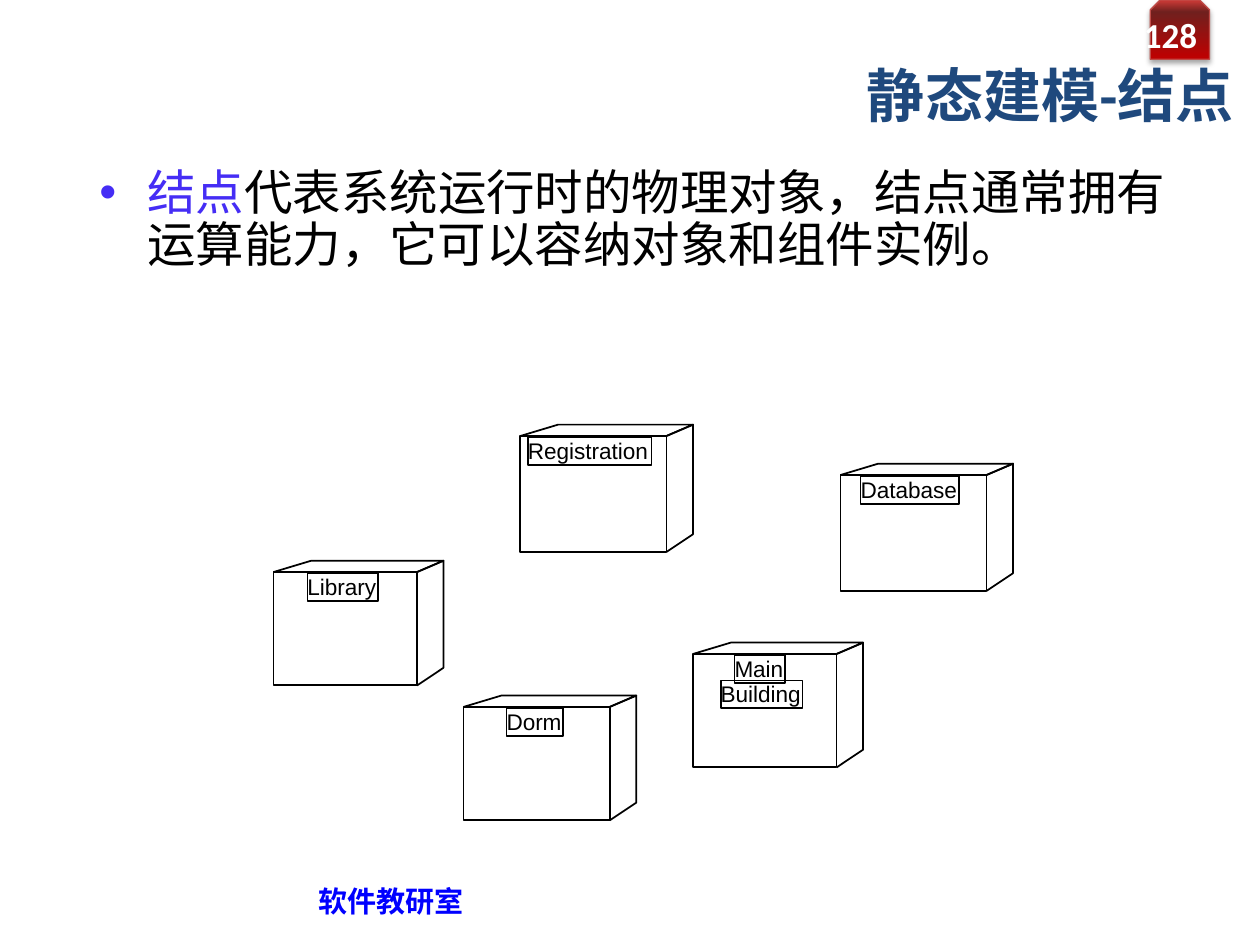
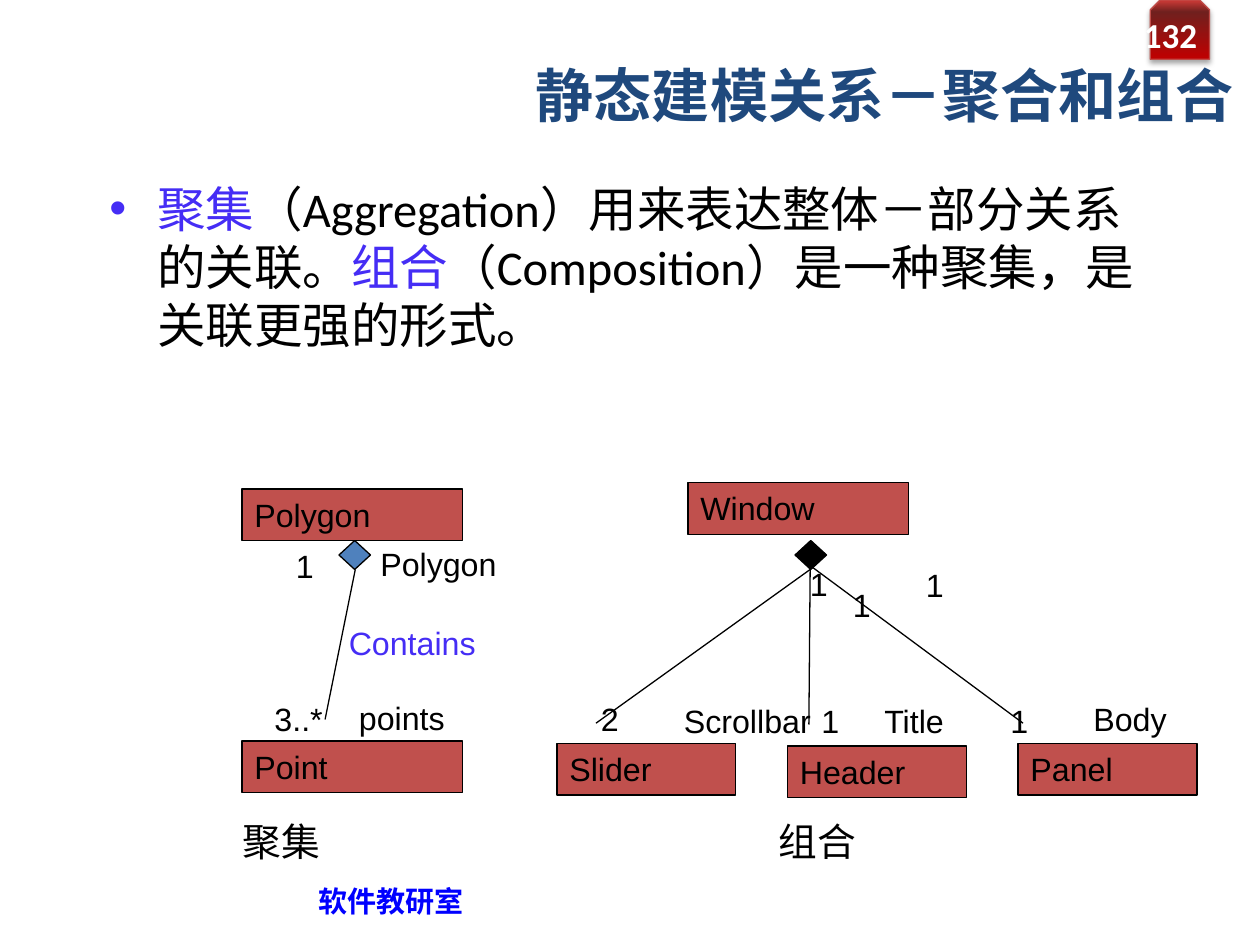
"""Build two UML slides: deployment nodes, and aggregation versus composition."""
from dataclasses import dataclass

from lxml import etree
from pptx import Presentation
from pptx.dml.color import RGBColor
from pptx.enum.shapes import MSO_CONNECTOR, MSO_SHAPE
from pptx.enum.text import MSO_ANCHOR, MSO_AUTO_SIZE, PP_ALIGN
from pptx.oxml import parse_xml
from pptx.oxml.ns import nsdecls, qn
from pptx.util import Inches, Pt

RECT = MSO_SHAPE.RECTANGLE
DIAMOND = MSO_SHAPE.FLOWCHART_DECISION
TAB = MSO_SHAPE.SNIP_2_SAME_RECTANGLE
STRAIGHT = MSO_CONNECTOR.STRAIGHT
TOP, MIDDLE = MSO_ANCHOR.TOP, MSO_ANCHOR.MIDDLE
LEFT, RIGHT = PP_ALIGN.LEFT, PP_ALIGN.RIGHT
GROW, FIXED = MSO_AUTO_SIZE.SHAPE_TO_FIT_TEXT, MSO_AUTO_SIZE.NONE


@dataclass(frozen=True)
class Theme:
    ink: str = "000000"
    paper: str = "FFFFFF"
    title: str = "1F497D"
    accent: str = "452DF5"
    footer: str = "0000FF"
    red: str = "C0504D"
    blue: str = "4F81BD"
    tab_line: str = "BF4C48"
    tab_stops: tuple = ((0, "C00000"), (80, "70201E"), (100, "CE3B37"))
    head: str = "Calibri"
    sans: str = "Arial"
    cjk: str = "DejaVu Sans"
    title_size: float = 33.2
    body_size: float = 27.7
    caption_size: float = 22.1
    number_size: float = 20
    label_size: float = 18.4
    footer_size: float = 16.6
    node_size: float = 12.9
    thin: float = 0.75
    line: float = 1


def write(tf, text, *, font, size, color, bold=False, align=LEFT, anchor=TOP,
          inset=(0.1, 0.05), wrap=True, fit=FIXED):
    tf.word_wrap, tf.auto_size, tf.vertical_anchor = wrap, fit, anchor
    tf.margin_left = tf.margin_right = Inches(inset[0])
    tf.margin_top = tf.margin_bottom = Inches(inset[1])
    p = tf.paragraphs[0]
    p.alignment = align
    for part, part_color in [(text, color)] if isinstance(text, str) else text:
        r = p.add_run()
        r.text = part
        r.font.name, r.font.size, r.font.bold = font, Pt(size), bold
        r.font.color.rgb = RGBColor.from_string(part_color or color)
        etree.SubElement(r.font._element, qn("a:ea")).set("typeface", font)
    return p


class Deck:
    def __init__(self, theme):
        self.t = theme
        self.prs = Presentation()
        self.prs.slide_width, self.prs.slide_height = Inches(10), Inches(7.5)

    def slide(self, number, title):
        t = self.t
        self.s = self.prs.slides.add_slide(self.prs.slide_layouts[6])
        self.s.background.fill.solid()
        self.s.background.fill.fore_color.rgb = RGBColor.from_string(t.paper)
        self.tab()
        self.text(number, 8.97, 0.07, 0.63, 0.4, font=t.head, size=t.number_size,
                  color=t.paper, bold=True, align=RIGHT, anchor=MIDDLE)
        self.text("软件教研室", 2.43, 6.95, 1.4, 0.4, font=t.sans, size=t.footer_size,
                  color=t.footer, bold=True, anchor=MIDDLE, wrap=False)
        self.text(title, 3.97, 0.46, 5.92, 0.58, font=t.head, size=t.title_size,
                  color=t.title, bold=True, align=RIGHT, anchor=MIDDLE)

    def tab(self):
        sp = self.shape(TAB, 9.13, 0, 0.47, 0.47, color=self.t.tab_line, width=self.t.thin)
        sp.fill.gradient()
        sp.fill.gradient_angle = 90
        stops = sp._element.spPr.find(".//" + qn("a:gsLst"))
        for old in list(stops):
            stops.remove(old)
        for pos, color in self.t.tab_stops:
            gs = etree.SubElement(stops, qn("a:gs"), pos=str(pos * 1000))
            etree.SubElement(gs, qn("a:srgbClr"), val=color)
        effects = sp._element.spPr.find(qn("a:effectLst"))
        effects.append(parse_xml(
            f'<a:outerShdw {nsdecls("a")} blurRad="{Pt(3.1)}" dist="{Pt(1.8)}" dir="5400000">'
            f'<a:srgbClr val="{self.t.ink}"><a:alpha val="35000"/></a:srgbClr></a:outerShdw>'))

    def text(self, text, x, y, w, h, **fmt):
        sp = self.s.shapes.add_textbox(Inches(x), Inches(y), Inches(w), Inches(h))
        return write(sp.text_frame, text, **fmt)

    def paint(self, sp, fill, color, width):
        sp.shadow.inherit = False
        if fill:
            sp.fill.solid()
            sp.fill.fore_color.rgb = RGBColor.from_string(fill)
        else:
            sp.fill.background()
        sp.line.color.rgb = RGBColor.from_string(color or self.t.ink)
        sp.line.width = Pt(width)
        return sp

    def shape(self, kind, x, y, w, h, fill=None, color=None, width=1, parent=None):
        shapes = (parent or self.s).shapes
        sp = shapes.add_shape(kind, Inches(x), Inches(y), Inches(w), Inches(h))
        return self.paint(sp, fill, color, width)

    def outline(self, points, parent):
        pts = [(Inches(x), Inches(y)) for x, y in points]
        builder = parent.shapes.build_freeform(*pts[0])
        builder.add_line_segments(pts[1:], close=False)
        return self.paint(builder.convert_to_shape(), None, None, self.t.line)

    def bullet(self, runs, x, y, w, h, spacing=1.0):
        t = self.t
        p = self.text(runs, x, y, w, h, font=t.head, size=t.body_size, color=t.ink)
        p.line_spacing = spacing
        pPr = p._p.get_or_add_pPr()
        pPr.set("marL", str(Inches(0.38)))
        pPr.set("indent", str(-Inches(0.38)))
        color = etree.SubElement(pPr, qn("a:buClr"))
        etree.SubElement(color, qn("a:srgbClr"), val=t.accent)
        etree.SubElement(pPr, qn("a:buFont"), typeface=t.sans)
        etree.SubElement(pPr, qn("a:buChar"), char="•")

    def node(self, x, y, w, h, labels):
        t, group = self.t, self.s.shapes.add_group_shape()
        right, back, rise = x + w, x + w + 0.21, y - 0.09
        self.shape(RECT, x, y, w, h, width=t.line, parent=group)
        self.outline([(x, y), (x + 0.3, rise), (back, rise), (right, y)], group)
        self.outline([(right, y), (back, rise), (back, y + h - 0.14), (right, y + h)], group)
        for i, (name, left, width) in enumerate(labels):
            sp = self.shape(RECT, left, y + 0.01 + 0.2 * i, width, 0.22,
                            width=t.line, parent=group)
            write(sp.text_frame, name, font=t.sans, size=t.node_size, color=t.ink,
                  inset=(0, 0), wrap=False, fit=GROW)

    def class_box(self, name, x, y, w):
        t = self.t
        sp = self.shape(RECT, x, y, w, 0.41, fill=t.red, width=t.thin)
        write(sp.text_frame, name, font=t.sans, size=t.label_size, color=t.ink, fit=GROW)

    def diamond(self, x, y, fill):
        self.shape(DIAMOND, x, y, 0.25, 0.23, fill=fill, width=self.t.thin)

    def label(self, text, x, y, w, color=None):
        self.text(text, x, y, w, 0.41, font=self.t.sans, size=self.t.label_size,
                  color=color or self.t.ink, fit=GROW)

    def caption(self, text, x, y):
        self.text(text, x, y, 2, 0.47, font=self.t.cjk, size=self.t.caption_size,
                  color=self.t.ink, fit=GROW)

    def link(self, x1, y1, x2, y2):
        c = self.s.shapes.add_connector(STRAIGHT, Inches(x1), Inches(y1), Inches(x2), Inches(y2))
        c.line.color.rgb = RGBColor.from_string(self.t.ink)
        c.line.width = Pt(self.t.thin)
        etree.SubElement(c._element.spPr, qn("a:effectLst"))


def nodes_slide(d):
    d.slide("128", "静态建模-结点")
    d.bullet([("结点", d.t.accent),
              ("代表系统运行时的物理对象，结点通常拥有运算能力，它可以容纳对象和组件实例。", None)],
             0.69, 1.29, 8.87, 1, spacing=0.9)
    for x, y, w, h, labels in [
        (4.13, 3.46, 1.16, 0.92, [("Registration", 4.19, 0.98)]),
        (6.67, 3.77, 1.16, 0.92, [("Database", 6.83, 0.78)]),
        (2.17, 4.54, 1.14, 0.9, [("Library", 2.44, 0.56)]),
        (3.68, 5.61, 1.16, 0.9, [("Dorm", 4.02, 0.45)]),
        (5.5, 5.19, 1.14, 0.9, [("Main", 5.83, 0.4), ("Building", 5.72, 0.65)]),
    ]:
        d.node(x, y, w, h, labels)


def relations_slide(d):
    t = d.t
    d.slide("132", "静态建模关系－聚合和组合")
    d.bullet([("聚集", t.accent), ("（Aggregation）用来表达整体－部分关系的关联。", None),
              ("组合", t.accent), ("（Composition）是一种聚集，是关联更强的形式。", None)],
             0.77, 1.37, 8.5, 1.62)
    for name, x, y, w in [
        ("Polygon", 1.92, 3.88, 1.75), ("Point", 1.92, 5.88, 1.75),
        ("Window", 5.46, 3.83, 1.75), ("Slider", 4.42, 5.9, 1.42),
        ("Header", 6.25, 5.92, 1.42), ("Panel", 8.08, 5.9, 1.42),
    ]:
        d.class_box(name, x, y, w)
    d.diamond(2.69, 4.29, t.blue)
    d.diamond(6.31, 4.29, t.ink)
    for ends in [(2.82, 4.52, 2.58, 5.71), (6.43, 4.52, 4.73, 5.74),
                 (6.43, 4.52, 6.42, 5.75), (6.31, 4.4, 8.12, 5.74)]:
        d.link(*ends)
    for text, x, y, w in [
        ("1", 2.25, 4.29, 0.33), ("Polygon", 2.92, 4.27, 1.25),
        ("3..*", 2.08, 5.5, 0.75), ("points", 2.75, 5.49, 1.08),
        ("1", 6.33, 4.43, 0.33), ("1", 6.67, 4.6, 0.33), ("1", 7.25, 4.44, 0.33),
        ("2", 4.67, 5.5, 0.75), ("Scrollbar", 5.33, 5.52, 1.33),
        ("1", 6.42, 5.52, 0.75), ("Title", 6.92, 5.52, 0.75),
        ("1", 7.92, 5.52, 0.75), ("Body", 8.58, 5.5, 1),
    ]:
        d.label(text, x, y, w)
    d.label("Contains", 2.67, 4.9, 1.42, color=t.accent)
    d.caption("聚集", 1.83, 6.44)
    d.caption("组合", 6.08, 6.44)


deck = Deck(Theme())
nodes_slide(deck)
relations_slide(deck)
deck.prs.save("out.pptx")
